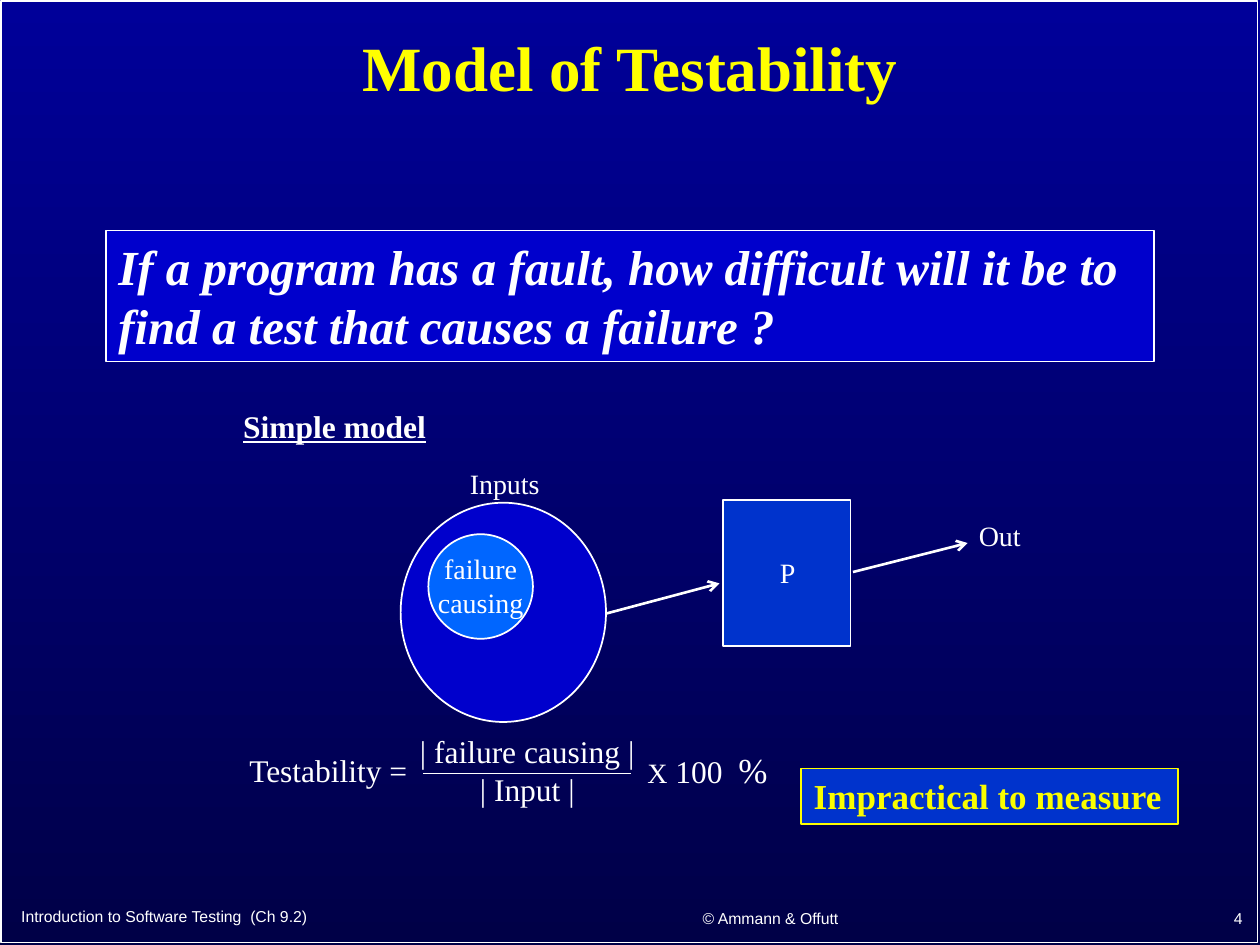
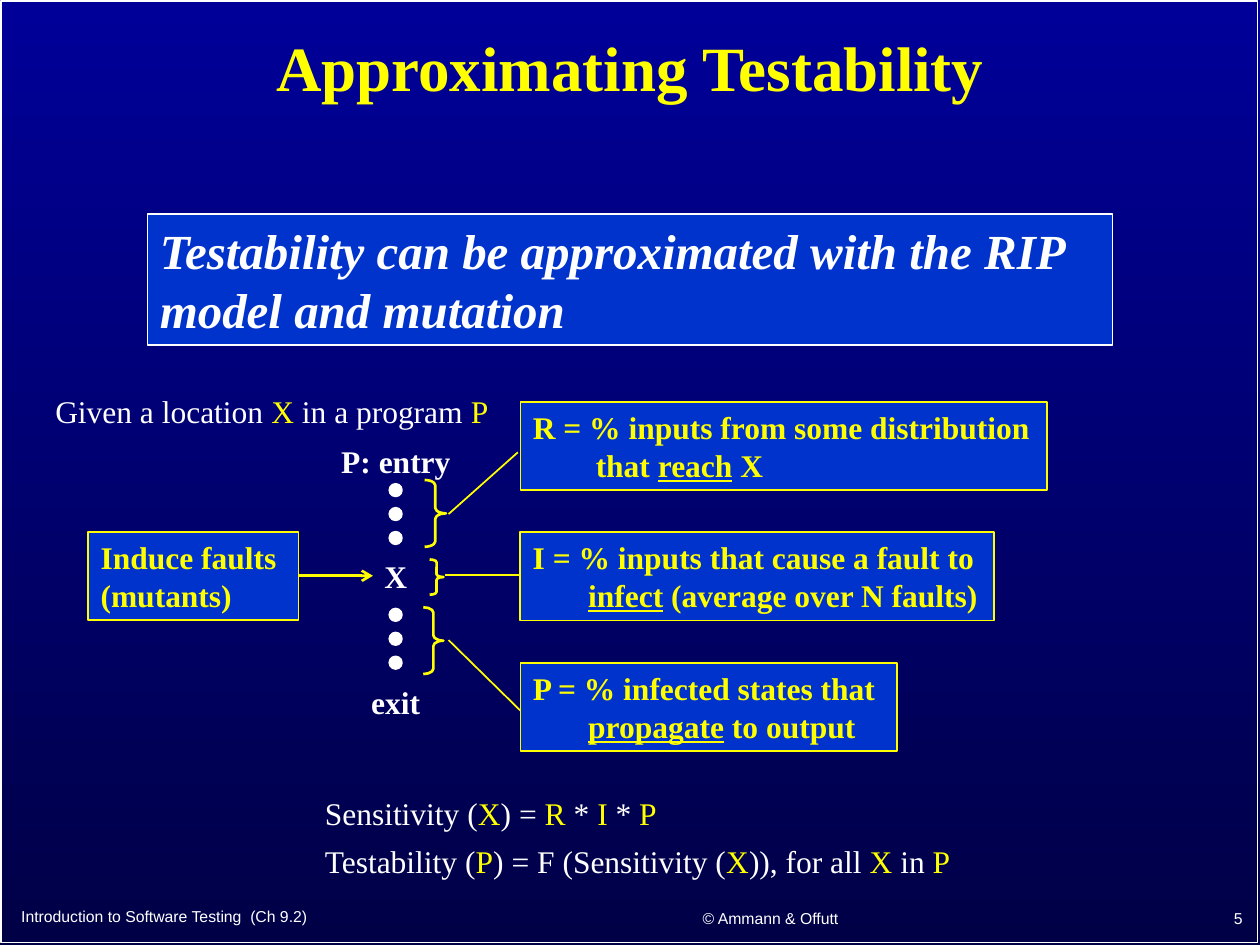
from lxml import etree
from pptx import Presentation
from pptx.dml.color import RGBColor
from pptx.enum.shapes import MSO_CONNECTOR, MSO_SHAPE as Shape
from pptx.enum.text import MSO_ANCHOR as Anchor, MSO_AUTO_SIZE, PP_ALIGN as Align
from pptx.oxml.ns import qn
from pptx.util import Inches, Pt

WHITE = RGBColor(0xFF, 0xFF, 0xFF)
YELLOW = RGBColor(0xFF, 0xFF, 0x00)
LEMON = RGBColor(0xFA, 0xFD, 0x00)
SKY_TOP = RGBColor(0x00, 0x00, 0x99)
SKY_BOTTOM = RGBColor(0x00, 0x00, 0x47)
DEEP_BLUE = RGBColor(0x00, 0x00, 0xCC)
PANEL_BLUE = RGBColor(0x00, 0x33, 0xCC)
LIGHT_BLUE = RGBColor(0x00, 0x66, 0xFF)
SERIF, SANS = "Times New Roman", "Arial"


def format_run(r, size=None, color=None, font=None, **flags):
    """Set the given font properties; flags are bold, italic and underline."""
    if size:
        r.font.size = Pt(size)
    if color is not None:
        r.font.color.rgb = color
    if font:
        r.font.name = font
    for flag, value in flags.items():
        setattr(r.font, flag, value)


def write(tf, text, size=18, color=WHITE, font=SERIF, align=Align.LEFT,
          anchor=Anchor.TOP, wrap=True, accent=None, hang=0, **flags):
    """Fill a frame, one paragraph per line; parts between ~ marks get the accent.

    hang indents every line after the first, in inches.
    """
    tf.word_wrap = wrap
    tf.auto_size = MSO_AUTO_SIZE.NONE
    tf.vertical_anchor = anchor
    for i, line in enumerate(text.split("\n")):
        p = tf.paragraphs[0] if i == 0 else tf.add_paragraph()
        p.alignment = align
        if i and hang:
            p._p.get_or_add_pPr().set("marL", str(Inches(hang)))
            p._p.get_or_add_pPr().set("indent", "0")
        for j, part in enumerate(line.split("~")):
            if part:
                r = p.add_run()
                r.text = part
                format_run(r, size, color, font, **flags)
                if j % 2:
                    format_run(r, **(accent or {}))
    return tf


def add_label(s, x, y, w, h, text, **fmt):
    tb = s.shapes.add_textbox(Inches(x), Inches(y), Inches(w), Inches(h))
    return write(tb.text_frame, text, **fmt)


def add_figure(s, kind, x, y, w, h, fill=None, line=WHITE, weight=1):
    sp = s.shapes.add_shape(kind, Inches(x), Inches(y), Inches(w), Inches(h))
    sp.shadow.inherit = False
    if fill is None:
        sp.fill.background()
    else:
        sp.fill.solid()
        sp.fill.fore_color.rgb = fill
    sp.line.color.rgb = line
    sp.line.width = Pt(weight)
    return sp


def add_panel(s, x, y, w, h, text, fill=PANEL_BLUE, line=YELLOW, **fmt):
    sp = add_figure(s, Shape.RECTANGLE, x, y, w, h, fill, line)
    fmt = {"color": YELLOW, "bold": True, **fmt}
    write(sp.text_frame, text, **fmt)


def add_line(s, x1, y1, x2, y2, color=WHITE, arrow=False):
    c = s.shapes.add_connector(MSO_CONNECTOR.STRAIGHT, Inches(x1), Inches(y1),
                               Inches(x2), Inches(y2))
    c.line.color.rgb = color
    c.line.width = Pt(1.5 if arrow else 1)
    if arrow:
        etree.SubElement(c.line._get_or_add_ln(), qn("a:tailEnd"), type="arrow")
    etree.SubElement(c._element.spPr, qn("a:effectLst"))


def add_brace(s, x, y, w, h):
    sp = add_figure(s, Shape.RIGHT_BRACE, x, y, w, h, line=YELLOW, weight=1.5)
    sp.adjustments[0] = 0.08 * h / w


def set_background(prs):
    fill = prs.slide_master.background.fill
    fill.gradient()
    fill.gradient_angle = 270
    for stop, color, position in zip(fill.gradient_stops, (SKY_TOP, SKY_BOTTOM), (0, 1)):
        stop.color.rgb = color
        stop.position = position


def add_slide(prs, title, number):
    """Add a slide with its frame, footers and title."""
    s = prs.slides.add_slide(prs.slide_layouts[5])
    add_figure(s, Shape.RECTANGLE, 0.01, 0.01, 9.97, 7.47)
    footers = [
        (0.07, 7.11, 4.27, 0.33, "Introduction to Software Testing  (Ch 9.2)", Align.LEFT),
        (4.51, 7.14, 3.21, 0.3, "© Ammann & Offutt", Align.CENTER),
        (7.88, 7.13, 2.08, 0.31, str(number), Align.RIGHT),
    ]
    for *place, text, align in footers:
        add_label(s, *place, text, size=9, font=SANS, align=align, anchor=Anchor.MIDDLE)
    sp = s.shapes.title
    sp.left, sp.top, sp.width, sp.height = (Inches(v) for v in (0.13, 0.09, 9.74, 0.95))
    tf = write(sp.text_frame, title, size=36, color=YELLOW, bold=True,
               align=Align.CENTER, anchor=Anchor.MIDDLE)
    tf.paragraphs[0].line_spacing = 0.9
    return s


def add_statement(s, x, y, w, text, fill):
    add_panel(s, x, y, w, 1.04, text, fill=fill, line=WHITE, color=WHITE,
              size=28, italic=True)


def add_input_model(s, x, y):
    """Draw the inputs, the program P and its output."""
    add_label(s, x, y, 1.71, 0.4, "Simple model", bold=True, underline=True,
              align=Align.CENTER)
    add_figure(s, Shape.RECTANGLE, x + 3.94, y + 0.79, 1.01, 1.16, PANEL_BLUE)
    add_figure(s, Shape.OVAL, x + 1.38, y + 0.81, 1.63, 1.74, DEEP_BLUE)
    add_figure(s, Shape.OVAL, x + 1.6, y + 1.06, 0.83, 0.83, LIGHT_BLUE)
    add_label(s, x + 1.83, y + 0.47, 0.98, 0.37, "Inputs", size=16)
    add_label(s, x + 1.58, y + 1.15, 0.87, 0.64, "failure\ncausing", size=16,
              align=Align.CENTER, wrap=False)
    add_label(s, x + 4.29, y + 1.18, 0.32, 0.37, "P", size=16, wrap=False)
    add_label(s, x + 5.87, y + 0.89, 0.53, 0.37, "Out", size=16, wrap=False)
    add_line(s, x + 3.01, y + 1.69, x + 3.91, y + 1.45, arrow=True)
    add_line(s, x + 4.97, y + 1.36, x + 5.88, y + 1.13, arrow=True)


def add_formula(s, x, y):
    add_label(s, x, y + 0.15, 1.52, 0.4, "Testability =")
    add_label(s, x + 1.35, y, 1.91, 0.7, "| failure causing |\n| Input |",
              align=Align.CENTER)
    add_line(s, x + 1.48, y + 0.38, x + 3.13, y + 0.38)
    tf = add_label(s, x + 3.16, y + 0.13, 1.27, 0.44, "X~ 100  ~%", size=16,
                   accent={"size": 18})
    format_run(tf.paragraphs[0].runs[-1], size=20)


def add_program_path(s, x, y):
    """Draw the program from entry through X to exit, with its braces."""
    add_label(s, x, y, 1.19, 0.4, "P: entry", bold=True)
    add_label(s, x + 0.33, y + 0.91, 0.4, 0.4, "X", bold=True, align=Align.CENTER)
    add_label(s, x + 0.21, y + 1.91, 0.64, 0.4, "exit", bold=True, align=Align.CENTER)
    for top in (0.38, 1.37):
        for i in range(3):
            add_figure(s, Shape.OVAL, x + 0.48, y + top + 0.19 * i, 0.1, 0.1, WHITE)
    for dx, dy, w, h in ((0.76, 0.35, 0.17, 0.53), (0.8, 0.98, 0.11, 0.28),
                         (0.75, 1.36, 0.16, 0.53)):
        add_brace(s, x + dx, y + dy, w, h)


def add_rip_measures(s, x, y):
    """Stack the three measures, each joined to its brace on the left."""
    measures = [
        (4.18, "R = % inputs from some distribution\nthat ~reach~ X", 0.5,
         (-0.57, 0.89, -0.02, 0.4)),
        (3.76, "I = % inputs that cause a fault to\n~infect~ (average over N faults)", 0.44,
         (-0.6, 0.34, 0, 0.34)),
        (2.99, "P = % infected states that\n~propagate~ to output", 0.44,
         (-0.57, -0.18, 0, 0.38)),
    ]
    for i, (w, text, hang, (x1, y1, x2, y2)) in enumerate(measures):
        top = y + 1.035 * i
        add_panel(s, x, top, w, 0.7, text, hang=hang, accent={"underline": True})
        add_line(s, x + x1, top + y1, x + x2, top + y2, YELLOW)


def add_model_slide(prs):
    s = add_slide(prs, "Model of Testability", 4)
    add_statement(s, 0.84, 1.83, 8.32, "If a program has a fault, how difficult will "
                  "it be to find a test that causes a failure ?", DEEP_BLUE)
    add_input_model(s, 1.8, 3.18)
    add_formula(s, 1.88, 5.76)
    add_panel(s, 6.36, 6.1, 2.99, 0.44, "Impractical to measure", size=20, color=LEMON)


def add_approximation_slide(prs):
    s = add_slide(prs, "Approximating Testability", 5)
    add_statement(s, 1.17, 1.7, 7.66, "Testability can be approximated with the RIP "
                  "model and mutation", PANEL_BLUE)
    symbol = {"color": YELLOW}
    add_label(s, 0.34, 3.06, 3.75, 0.4, "Given a location ~X~ in a program ~P", accent=symbol)
    add_program_path(s, 2.61, 3.46)
    add_panel(s, 0.7, 4.22, 1.67, 0.7, "Induce faults\n(mutants)")
    add_line(s, 2.37, 4.57, 2.96, 4.57, YELLOW, arrow=True)
    add_rip_measures(s, 4.13, 3.19)
    add_label(s, 2.48, 6.25, 3.56, 0.4, "Sensitivity (~X~) = ~R~ * ~I~ * ~P", accent=symbol)
    add_label(s, 2.48, 6.63, 5.3, 0.4,
              "Testability (~P~) = F (Sensitivity (~X~)), for all ~X~ in ~P", accent=symbol)


def main():
    prs = Presentation()
    prs.slide_width, prs.slide_height = Inches(10), Inches(7.5)
    set_background(prs)
    add_model_slide(prs)
    add_approximation_slide(prs)
    prs.save("out.pptx")


if __name__ == "__main__":
    main()
